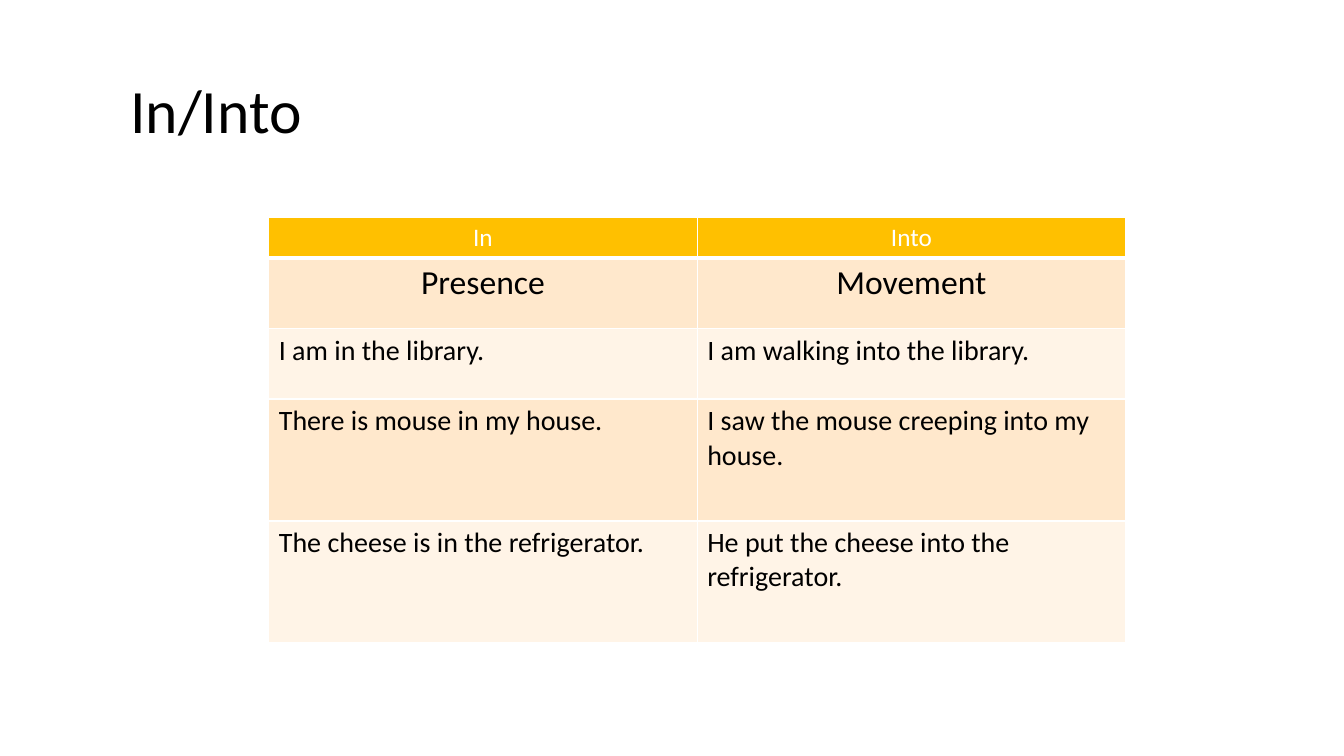
from lxml import etree
from pptx import Presentation
from pptx.dml.color import RGBColor
from pptx.enum.text import MSO_ANCHOR, PP_ALIGN
from pptx.oxml.ns import qn
from pptx.util import Pt

LEFT, CENTER = PP_ALIGN.LEFT, PP_ALIGN.CENTER
MIDDLE = MSO_ANCHOR.MIDDLE

FONT = "Calibri"
BLACK = RGBColor(0x00, 0x00, 0x00)
WHITE = RGBColor(0xFF, 0xFF, 0xFF)
GOLD = RGBColor(0xFF, 0xC0, 0x00)
PEACH = RGBColor(0xFF, 0xE8, 0xCC)
CREAM = RGBColor(0xFF, 0xF4, 0xE7)

COL_WIDTH = 306
# height, fill, text colour, text size, alignment, cell texts
ROWS = [
    (29, GOLD, WHITE, 18, CENTER, ("In", "Into")),
    (50.4, PEACH, BLACK, 24, CENTER, ("Presence", "Movement")),
    (50.4, CREAM, BLACK, 20, LEFT,
     ("I am in the library.", "I am walking into the library.")),
    (87.1, PEACH, BLACK, 20, LEFT,
     ("There is mouse in my house.",
      "I saw the mouse creeping into my house.")),
    (87.1, CREAM, BLACK, 20, LEFT,
     ("The cheese is in the refrigerator.",
      "He put the cheese into the refrigerator.")),
]


def style(para, size, color, align):
    para.alignment = align
    for run in para.runs:
        font = run.font
        font.name, font.size, font.bold = FONT, Pt(size), False
        font.color.rgb = color


def add_title(slide, text):
    title = slide.shapes.title
    title.left, title.top = Pt(66), Pt(28.75)
    title.width, title.height = Pt(828), Pt(104.4)
    frame = title.text_frame
    frame.text = text
    frame.vertical_anchor = MIDDLE
    frame.margin_left = Pt(27)
    para = frame.paragraphs[0]
    para.line_spacing = 0.9
    style(para, 44, BLACK, LEFT)


def set_edges(cell, top, bottom):
    """Draw white borders; top and bottom are widths in points."""
    props = cell._tc.get_or_add_tcPr()
    for side, width in (("L", 1), ("R", 1), ("T", top), ("B", bottom)):
        line = etree.SubElement(props, qn(f"a:ln{side}"), w=str(Pt(width)))
        fill = etree.SubElement(line, qn("a:solidFill"))
        etree.SubElement(fill, qn("a:srgbClr"), val=str(WHITE))


def add_grid(slide):
    total = sum(row[0] for row in ROWS)
    table = slide.shapes.add_table(
        len(ROWS), 2, Pt(192), Pt(155), Pt(2 * COL_WIDTH), Pt(total)).table
    table.horz_banding = False
    for r, (height, fill, color, size, align, texts) in enumerate(ROWS):
        table.rows[r].height = Pt(height)
        for c, text in enumerate(texts):
            cell = table.cell(r, c)
            set_edges(cell, 3 if r == 1 else 1, 3 if r == 0 else 1)
            cell.fill.solid()
            cell.fill.fore_color.rgb = fill
            cell.text_frame.text = text
            style(cell.text_frame.paragraphs[0], size, color, align)


def main():
    deck = Presentation()
    deck.slide_width, deck.slide_height = Pt(960), Pt(540)
    slide = deck.slides.add_slide(deck.slide_layouts[5])
    add_title(slide, "In/Into")
    add_grid(slide)
    deck.save("out.pptx")


if __name__ == "__main__":
    main()
